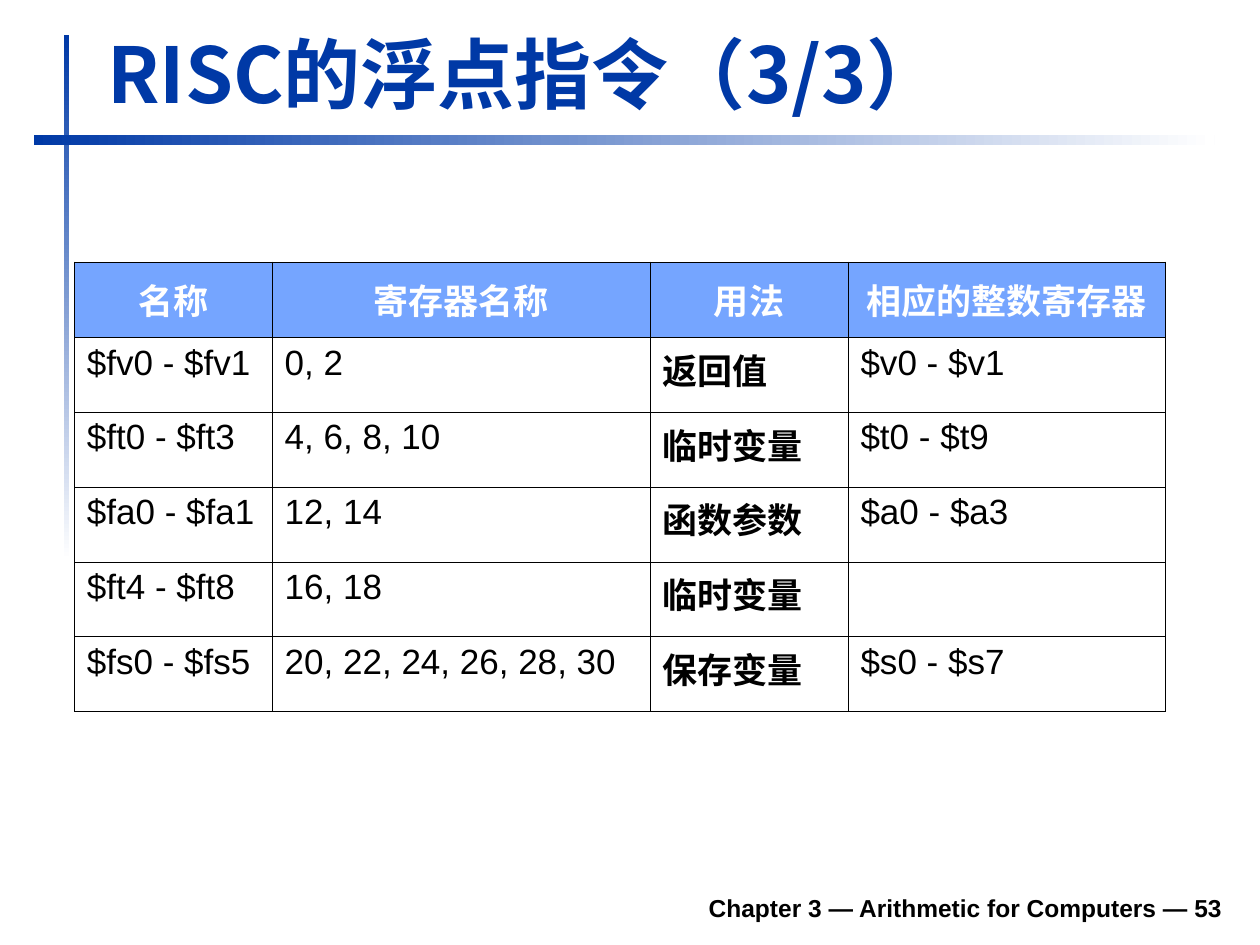
from lxml import etree
from pptx import Presentation
from pptx.dml.color import RGBColor
from pptx.enum.shapes import MSO_SHAPE
from pptx.enum.text import MSO_ANCHOR, MSO_AUTO_SIZE, PP_ALIGN
from pptx.oxml.ns import qn
from pptx.util import Inches, Pt

RECTANGLE = MSO_SHAPE.RECTANGLE
LEFT, CENTER, RIGHT = PP_ALIGN.LEFT, PP_ALIGN.CENTER, PP_ALIGN.RIGHT
TOP, MIDDLE, BOTTOM = MSO_ANCHOR.TOP, MSO_ANCHOR.MIDDLE, MSO_ANCHOR.BOTTOM
GROW = MSO_AUTO_SIZE.SHAPE_TO_FIT_TEXT
CJK, LATIN = "Noto Sans CJK SC", "Arial"
BLUE, HEADER_BLUE, WHITE, BLACK = "0039A6", "75A5FF", "FFFFFF", "000000"


def rgb(value):
    return RGBColor.from_string(value)


def style(paragraph, size, typeface, color, bold, align=LEFT):
    paragraph.alignment = align
    font = paragraph.font
    font.size, font.name, font.bold = Pt(size), typeface, bold
    font.color.rgb = rgb(color)
    defaults = paragraph._p.pPr.find(qn("a:defRPr"))
    etree.SubElement(defaults, qn("a:ea"), typeface=typeface)


prs = Presentation()
prs.slide_width, prs.slide_height = Inches(10), Inches(7.5)
slide = prs.slides.add_slide(prs.slide_layouts[5])

# Crossing bars that fade to white; gradient angles run counterclockwise
for left, top, width, height, angle in [
    (0.51, 0.28, 0.04, 4.17, 270),
    (0.27, 1.07, 9.37, 0.08, 0),
]:
    bar = slide.shapes.add_shape(
        RECTANGLE, Inches(left), Inches(top), Inches(width), Inches(height))
    bar.shadow.inherit = False
    bar.line.fill.background()
    bar.fill.gradient()
    bar.fill.gradient_angle = angle
    for stop, position, color in zip(bar.fill.gradient_stops, (0, 1), (BLUE, WHITE)):
        stop.position = position
        stop.color.rgb = rgb(color)

title = slide.shapes.title
title.left, title.top = Inches(0.75), Inches(0.15)
title.width, title.height = Inches(9.03), Inches(0.84)
title.text_frame.text = "RISC的浮点指令（3/3）"
title.text_frame.vertical_anchor = BOTTOM
title.text_frame.auto_size = GROW
style(title.text_frame.paragraphs[0], 44, CJK, BLUE, True)

# Floating-point register conventions
registers = [
    ("名称", "寄存器名称", "用法", "相应的整数寄存器"),
    ("$fv0 - $fv1", "0, 2", "返回值", "$v0 - $v1"),
    ("$ft0 - $ft3", "4, 6, 8, 10", "临时变量", "$t0 - $t9"),
    ("$fa0 - $fa1", "12, 14", "函数参数", "$a0 - $a3"),
    ("$ft4 - $ft8", "16, 18", "临时变量", ""),
    ("$fs0 - $fs5", "20, 22, 24, 26, 28, 30", "保存变量", "$s0 - $s7"),
]
USAGE_COLUMN = 2
table = slide.shapes.add_table(
    len(registers), 4, Inches(0.59), Inches(2.08), Inches(8.66), Inches(3.57)).table
table.first_row = table.horz_banding = False
for column, width in zip(table.columns, (1.57, 3, 1.57, 2.52)):
    column.width = Inches(width)

for r, entries in enumerate(registers):
    is_header = r == 0
    for c, entry in enumerate(entries):
        cell = table.cell(r, c)
        cell.text = entry
        cell.vertical_anchor = MIDDLE if is_header else TOP
        paragraph = cell.text_frame.paragraphs[0]
        if is_header:
            cell.fill.solid()
            cell.fill.fore_color.rgb = rgb(HEADER_BLUE)
            style(paragraph, 20, CJK, WHITE, True, CENTER)
        else:
            cell.fill.background()
            is_usage = c == USAGE_COLUMN
            style(paragraph, 20, CJK if is_usage else LATIN, BLACK, is_usage)
        hanging = Inches(0.38)
        paragraph._p.pPr.set("marL", str(hanging))
        paragraph._p.pPr.set("indent", str(-hanging))

        properties = cell._tc.get_or_add_tcPr()
        for i, side in enumerate(("lnL", "lnR", "lnT", "lnB")):
            border = etree.Element(qn(f"a:{side}"), w=str(Pt(0.45)))
            line_fill = etree.SubElement(border, qn("a:solidFill"))
            etree.SubElement(line_fill, qn("a:srgbClr"), val=BLACK)
            properties.insert(i, border)

footer = slide.shapes.add_textbox(
    Inches(1.85), Inches(6.98), Inches(7.95), Inches(0.39)).text_frame
footer.word_wrap = True
footer.vertical_anchor = BOTTOM
footer.text = "Chapter 3 — Arithmetic for Computers — 53"
style(footer.paragraphs[0], 14, LATIN, BLACK, True, RIGHT)

prs.save("out.pptx")
